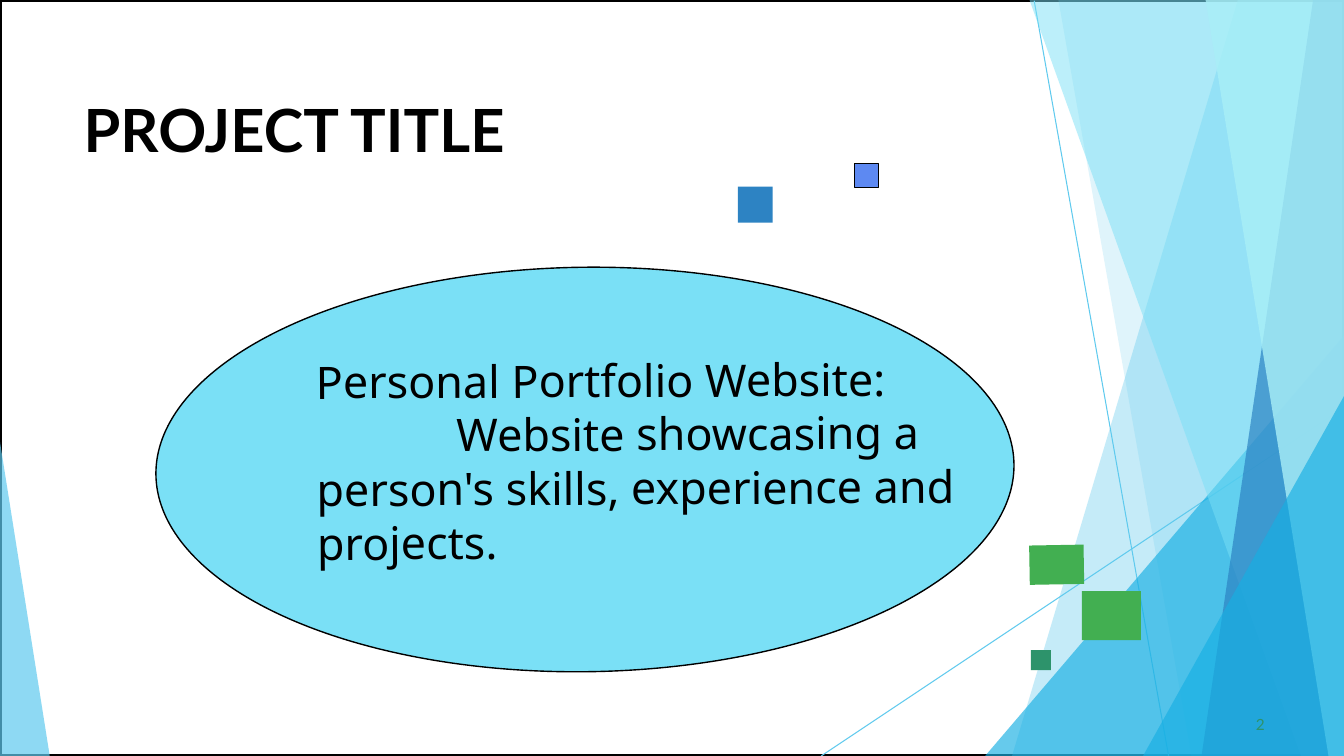
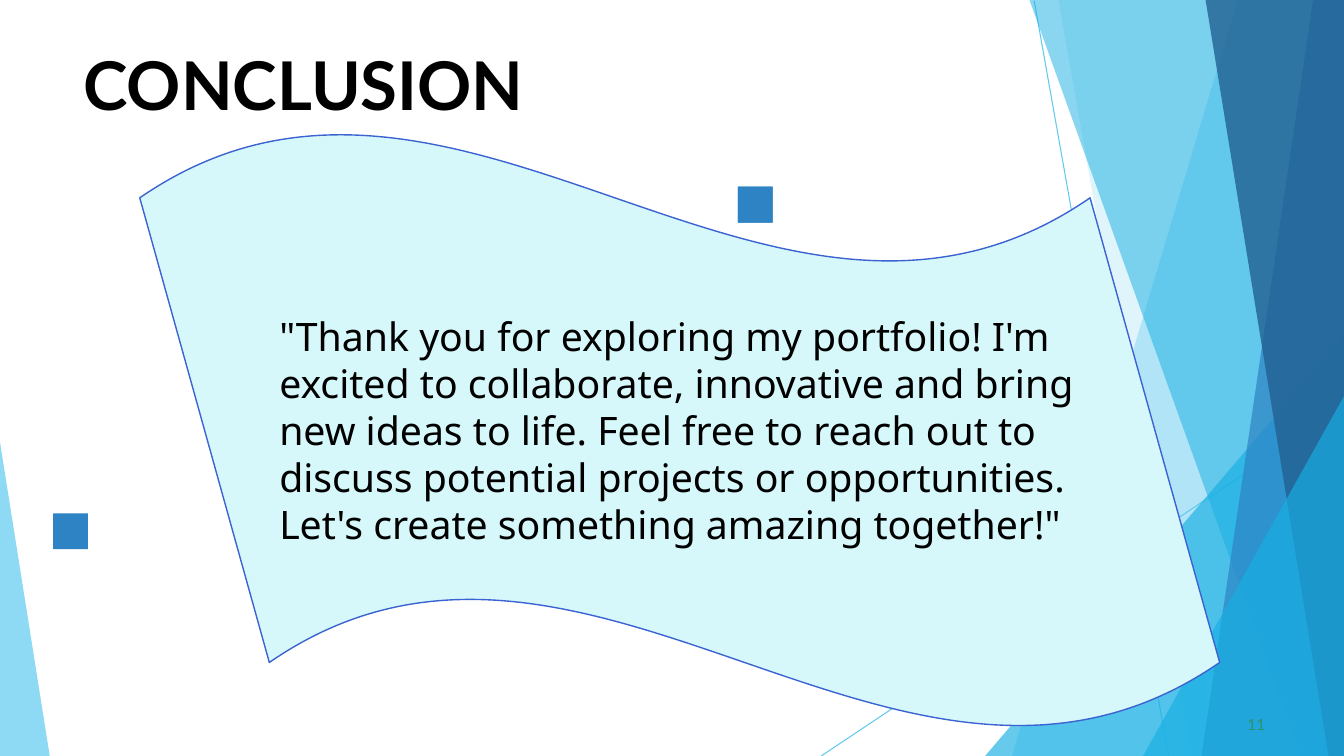
from dataclasses import dataclass

from lxml import etree
from pptx import Presentation
from pptx import util as u
from pptx.dml import color
from pptx.enum import shapes, text
from pptx.oxml import ns

WIDE, HIGH = u.Inches(13.33), u.Inches(7.5)
BOX = shapes.MSO_SHAPE.RECTANGLE


@dataclass(frozen=True)
class Theme:
    black: str = "000000"
    white: str = "FFFFFF"
    sky: str = "5FCAEE"
    azure: str = "17AFE3"
    aqua: str = "7AE0F6"
    ice: str = "A9EFF7"
    pale: str = "D6F8FA"
    blue: str = "2D83C3"
    navy: str = "226192"
    royal: str = "3B63D2"
    iris: str = "5D89F2"
    green: str = "42AF51"
    teal: str = "2D936B"
    head: str = "Lato"
    body: str = "Noto Sans"
    title: float = 42.5
    close: float = 48
    lead: float = 32
    quote: float = 28
    small: float = 11


T = Theme()


def across(share):
    """Turn a percentage of the slide's width into a length."""
    return round(WIDE * share / 100)


def down(share):
    """Turn a percentage of the slide's height into a length."""
    return round(HIGH * share / 100)


def place(left, top, width, height):
    return across(left), down(top), across(width), down(height)


def rgb(code):
    return color.RGBColor.from_string(code)


def paint(shape, fill, line=None, weight=1, alpha=100):
    shape.shadow.inherit = False
    shape.fill.solid()
    shape.fill.fore_color.rgb = rgb(fill)
    if alpha < 100:
        tone = shape.fill._xPr.find(".//" + ns.qn("a:srgbClr"))
        etree.SubElement(tone, ns.qn("a:alpha"), val=str(alpha * 1000))
    if line:
        shape.line.color.rgb = rgb(line)
        shape.line.width = u.Pt(weight)
    else:
        shape.line.fill.background()


def add_form(slide, kind, spot, fill, turn=0, **look):
    shape = slide.shapes.add_shape(kind, *place(*spot))
    shape.rotation = turn
    paint(shape, fill, **look)
    return shape


def add_line(slide, start, end):
    line = slide.shapes.add_connector(
        shapes.MSO_CONNECTOR.STRAIGHT,
        across(start[0]), down(start[1]), across(end[0]), down(end[1]))
    line.line.color.rgb = rgb(T.sky)
    line.line.width = u.Pt(0.75)
    etree.SubElement(line._element.spPr, ns.qn("a:effectLst"))


def add_band(slide, start, foot, side, fill, alpha):
    """Fill from a slanted edge, start to foot, out to the slide's side."""
    points = [start, (foot, 100), (side, 100), (side, start[1])]
    spots = [(across(x), down(y)) for x, y in points]
    pen = slide.shapes.build_freeform(*spots[0])
    pen.add_line_segments(spots[1:], close=True)
    paint(pen.convert_to_shape(), fill, alpha=alpha)


def write(shape, *lines, size, font, bold=False, inset=(0.1, 0.05),
          anchor=text.MSO_ANCHOR.TOP, left=0, first=None, before=0, track=0):
    """Write one paragraph per line; first lists first-line indents in inches."""
    frame = shape.text_frame
    frame.word_wrap = True
    frame.vertical_anchor = anchor
    frame.margin_left = frame.margin_right = u.Inches(inset[0])
    frame.margin_top = frame.margin_bottom = u.Inches(inset[1])
    for i, (line, dent) in enumerate(zip(lines, first or [0] * len(lines))):
        para = frame.add_paragraph() if i else frame.paragraphs[0]
        para.alignment = text.PP_ALIGN.LEFT
        para.space_before = u.Pt(before)
        props = para._p.get_or_add_pPr()
        props.set("marL", str(u.Inches(left)))
        props.set("indent", str(u.Inches(dent)))
        run = para.add_run()
        run.text = line
        run.font.size, run.font.name, run.font.bold = u.Pt(size), font, bold
        run.font.color.rgb = rgb(T.black)
        if track:
            run.font._element.set("spc", str(track))
    return frame


def add_text(slide, spot, *lines, turn=0, **look):
    shape = slide.shapes.add_textbox(*place(*spot))
    shape.rotation = turn
    return write(shape, *lines, **look)


def add_title(slide, top, words, size, track=0):
    add_text(slide, (6.15, top, 45, 10), words, size=size, font=T.head,
             bold=True, inset=(0, 0.02), left=0.01, before=1.2, track=track)


def add_page(slide, left, number):
    frame = add_text(slide, (left, 94.4, 1.9, 2.4), number, size=T.small,
                     font=T.head, inset=(0, 0.01), left=0.04, before=0.6,
                     track=10)
    frame.paragraphs[0].runs[0].font.color.rgb = rgb(T.teal)


def add_square(slide, left, top):
    add_form(slide, BOX, (left, top, 2.6, 4.75), T.blue)


def add_decor(slide, veil, edge):
    """Draw the shared bands; veil and edge colour the two that vary."""
    add_line(slide, (76.95, 0.1), (86.95, 100))
    add_line(slide, (100, 53.9), (61.1, 100))
    for start, foot, side, fill, alpha in (
            ((92.1, 0), 75.3, 100, T.sky, 36),
            ((78.75, 0), 88.65, 100, T.sky, 20),
            ((100, 44.4), 73.3, 100, T.azure, 66),
            ((76.6, 0), 96.8, 100, veil, 50),
            ((97.7, 0), 89.4, 100, T.blue, 70),
            ((89.7, 0), 98.85, 100, edge, 80),
            ((100, 52.4), 85.05, 100, T.azure, 66),
            ((0, 58.5), 3.7, 0, T.sky, 70)):
        add_band(slide, start, foot, side, fill, alpha)
    add_square(slide, 54.9, 24.7)


def build_project(slide):
    add_form(slide, BOX, (0, 0, 100, 100), T.white, line=T.black, weight=3)
    add_decor(slide, T.aqua, T.ice)
    add_form(slide, BOX, (76.6, 72.1, 4.05, 5.2), T.green, turn=359)
    add_form(slide, BOX, (76.7, 86, 1.5, 2.65), T.teal)
    add_title(slide, 12.1, "PROJECT TITLE", T.title, track=10)
    add_page(slide, 93.15, "2")
    add_form(slide, shapes.MSO_SHAPE.OVAL, (11.6, 35.35, 63.85, 53.5),
             T.aqua, turn=359.3, line=T.black)
    add_text(slide, (22.8, 45.9, 49.6, 29.6), "Personal Portfolio Website:",
             "Website showcasing a person's skills, experience and projects.",
             size=T.lead, font=T.body, turn=359.6, first=(0, 1.39))
    add_form(slide, BOX, (80.5, 78.2, 4.4, 6.5), T.green)
    add_form(slide, BOX, (63.6, 21.6, 1.75, 3.2), T.iris, line=T.black)


def build_end(slide):
    add_decor(slide, T.azure, T.navy)
    add_title(slide, 5.5, "CONCLUSION", T.close)
    add_page(slide, 92.5, "11")
    wave = add_form(slide, shapes.MSO_SHAPE.WAVE, (10.4, 17.5, 80.35, 78.8),
                    T.pale, line=T.royal)
    wave.adjustments[0], wave.adjustments[1] = 0.11, 0.06
    write(wave, "\"Thank you for exploring my portfolio! I'm excited to "
          "collaborate, innovative and bring new ideas to life. Feel free to "
          "reach out to discuss potential projects or opportunities. Let's "
          "create something amazing together!\"",
          size=T.quote, font=T.body, anchor=text.MSO_ANCHOR.MIDDLE)
    add_square(slide, 3.95, 67.9)
    add_square(slide, 54.9, 24.7)


def main():
    deck = Presentation()
    deck.slide_width, deck.slide_height = WIDE, HIGH
    for build in (build_project, build_end):
        build(deck.slides.add_slide(deck.slide_layouts[6]))
    deck.save("out.pptx")


if __name__ == "__main__":
    main()
